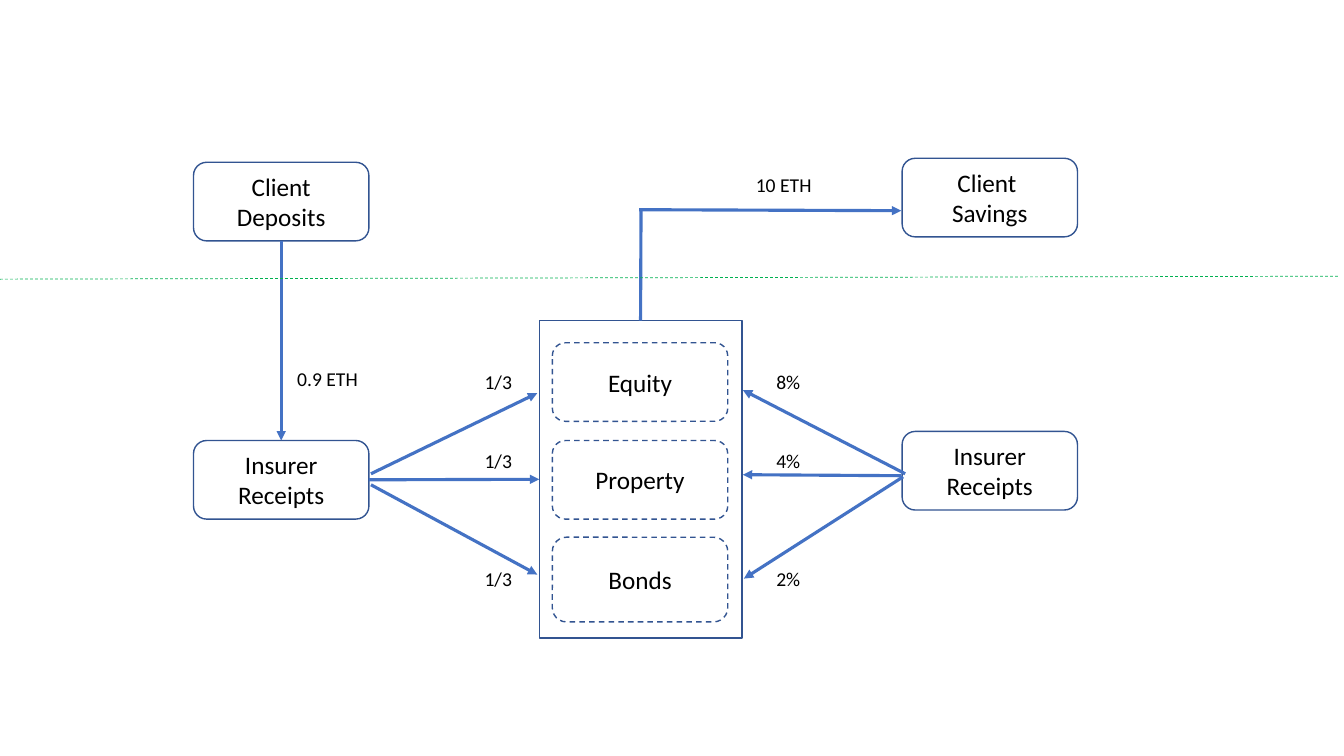
import pptx
import pptx.util
import pptx.dml.color
import pptx.enum.dml
import pptx.enum.shapes
import pptx.enum.text
import pptx.oxml

Pt = pptx.util.Pt
SHAPES = pptx.enum.shapes.MSO_SHAPE

# Content: all lengths in points
BOX_WIDTH, BOX_HEIGHT = 125.28, 56.16
LEFT, CENTRE, RIGHT = 138.24, 394.56, 644.4

# name: (lines, left, top, height, dashed)
BOXES = {
    "deposits": (["Client", "Deposits"], LEFT, 115.92, BOX_HEIGHT, False),
    "savings": (["Client ", "Savings"], RIGHT, 113.04, BOX_HEIGHT, False),
    "receipts": (["Insurer", "Receipts"], LEFT, 314.64, BOX_HEIGHT, False),
    "payer": (["Insurer", "Receipts"], RIGHT, 308.16, BOX_HEIGHT, False),
    "equity": (["Equity"], CENTRE, 244.8, BOX_HEIGHT, True),
    "property": (["Property"], CENTRE, 314.64, BOX_HEIGHT, True),
    "bonds": (["Bonds"], CENTRE, 383.76, 60.48, True),
}
PANEL = (385.2, 228.96, 144.72, 226.8)

# (start, end, arrowhead); an end is a point or (box name, side)
TOP, SIDE_LEFT, BOTTOM, SIDE_RIGHT = range(4)
FLOWS = [
    (("deposits", BOTTOM), ("receipts", TOP), True),
    ((265, 338.4), (383.8, 280.8), True),
    (("receipts", SIDE_RIGHT), ("panel", SIDE_LEFT), True),
    ((265, 346.3), (383.8, 410.4), True),
    ((646.6, 338.4), (530.6, 278.6), True),
    ((643.7, 339.8), (530.6, 339.1), True),
    ((645.1, 340.6), (531.4, 413.3), True),
    (("panel", TOP), (457.9, 150.5), False),
    ((456.5, 149.8), (643.7, 150.5), True),
]
DIVIDER = ((0, 199.4), (956.2, 197.3))

# (left, width) of the label columns and the tops of their rows
LABEL_ROWS = [260.64, 316.8, 401.76]
LABEL_COLUMNS = [(339, 37, ["1/3", "1/3", "1/3"]),
                 (547.4, 37, ["8%", "4%", "2%"])]
LABELS = [("10 ETH", 532.8, 120.24, 56), ("0.9 ETH", 205.2, 258.48, 69)]
LABELS += [(text, left, top, width)
           for left, width, texts in LABEL_COLUMNS
           for text, top in zip(texts, LABEL_ROWS)]
LABEL_HEIGHT = 24.5

THEME = {
    "font": "Calibri", "text": "000000", "outline": "325491",
    "flow": "4472C4", "divider": "00B050",
    "box_size": 18, "label_size": 14,
    "outline_width": 1, "flow_width": 2.25, "divider_width": 0.5,
}


def colour(name):
    return pptx.dml.color.RGBColor.from_string(THEME[name])


def style_line(line, role, dashed=False):
    line.color.rgb = colour(role)
    line.width = Pt(THEME[role + "_width"])
    if dashed:
        line.dash_style = pptx.enum.dml.MSO_LINE.DASH


def write(frame, lines, size, align):
    frame.word_wrap = True
    for number, text in enumerate(lines):
        para = frame.add_paragraph() if number else frame.paragraphs[0]
        para.alignment = align
        span = para.add_run()
        span.text = text
        span.font.name = THEME["font"]
        span.font.size = Pt(THEME[size])
        span.font.color.rgb = colour("text")


def add_outline(page, kind, bounds, dashed=False):
    shape = page.shapes.add_shape(kind, *map(Pt, bounds))
    shape.shadow.inherit = False
    shape.fill.background()
    style_line(shape.line, "outline", dashed)
    return shape


def add_line(page, boxes, start, end, role, arrow=False, dashed=False):
    points = [(0, 0) if end_point[0] in boxes else end_point
              for end_point in (start, end)]
    line = page.shapes.add_connector(
        pptx.enum.shapes.MSO_CONNECTOR.STRAIGHT,
        *[Pt(value) for point in points for value in point])
    for end_point, join in ((start, line.begin_connect), (end, line.end_connect)):
        if end_point[0] in boxes:
            join(boxes[end_point[0]], end_point[1])
    style_line(line.line, role, dashed)
    properties = line._element.spPr
    if arrow:
        head = pptx.oxml.parse_xml(
            '<a:tailEnd xmlns:a="http://schemas.openxmlformats.org/drawingml/2006/main"'
            ' type="triangle"/>')
        line.line._get_or_add_ln().append(head)
    properties.append(pptx.oxml.parse_xml(
        '<a:effectLst xmlns:a="http://schemas.openxmlformats.org/drawingml/2006/main"/>'))


def main():
    deck = pptx.Presentation()
    deck.slide_width, deck.slide_height = Pt(960), Pt(540)
    page = deck.slides.add_slide(deck.slide_layouts[6])

    # Panel and boxes
    boxes = {"panel": add_outline(page, SHAPES.RECTANGLE, PANEL)}
    for name, (lines, left, top, height, dashed) in BOXES.items():
        box = add_outline(page, SHAPES.ROUNDED_RECTANGLE,
                          (left, top, BOX_WIDTH, height), dashed)
        box.text_frame.vertical_anchor = pptx.enum.text.MSO_ANCHOR.MIDDLE
        write(box.text_frame, lines, "box_size", pptx.enum.text.PP_ALIGN.CENTER)
        boxes[name] = box

    # Flows and divider
    for start, end, arrow in FLOWS:
        add_line(page, boxes, start, end, "flow", arrow)
    add_line(page, boxes, *DIVIDER, "divider", dashed=True)

    # Labels
    for text, left, top, width in LABELS:
        label = page.shapes.add_textbox(*map(Pt, (left, top, width, LABEL_HEIGHT)))
        write(label.text_frame, [text], "label_size", pptx.enum.text.PP_ALIGN.LEFT)

    deck.save("out.pptx")


if __name__ == "__main__":
    main()
